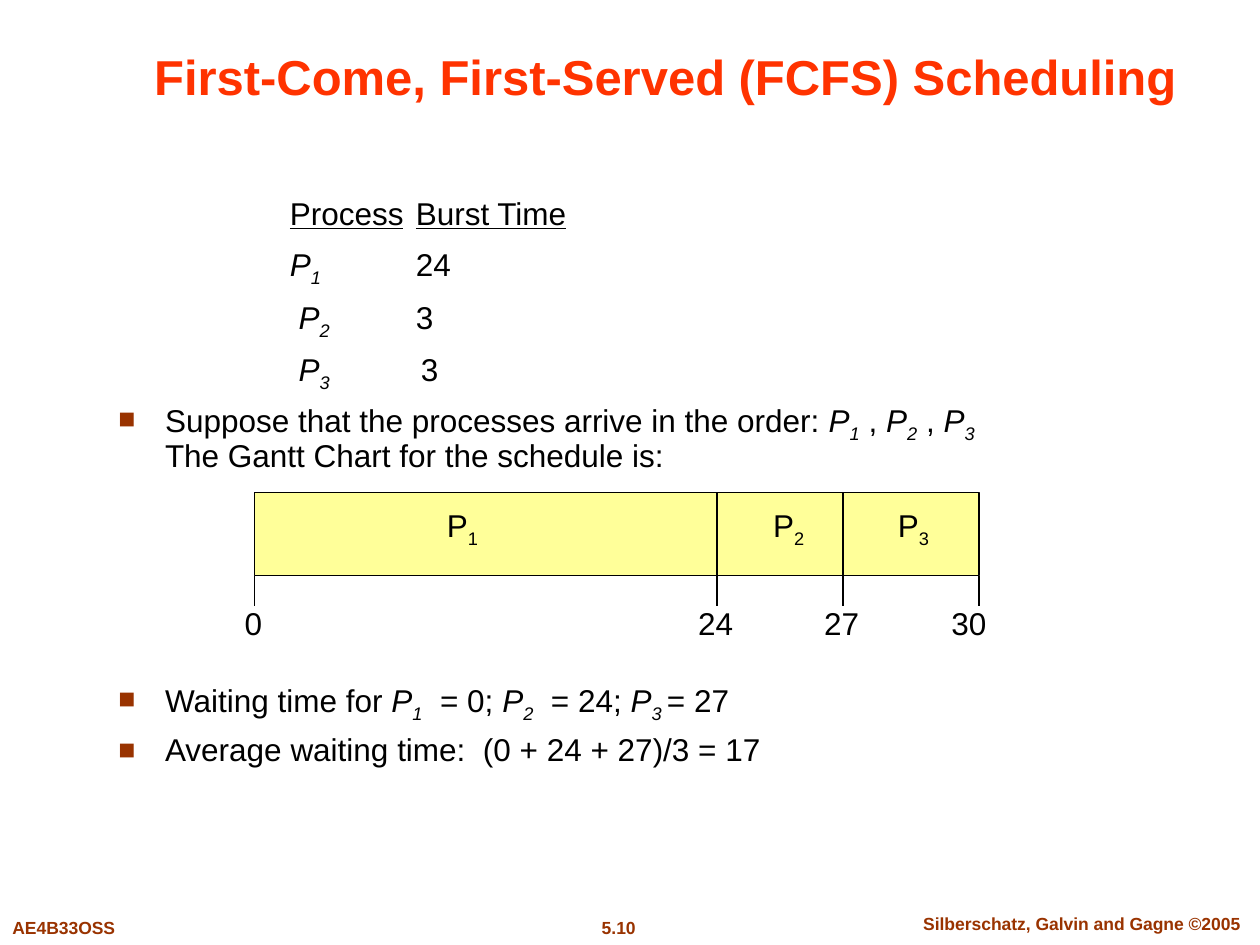
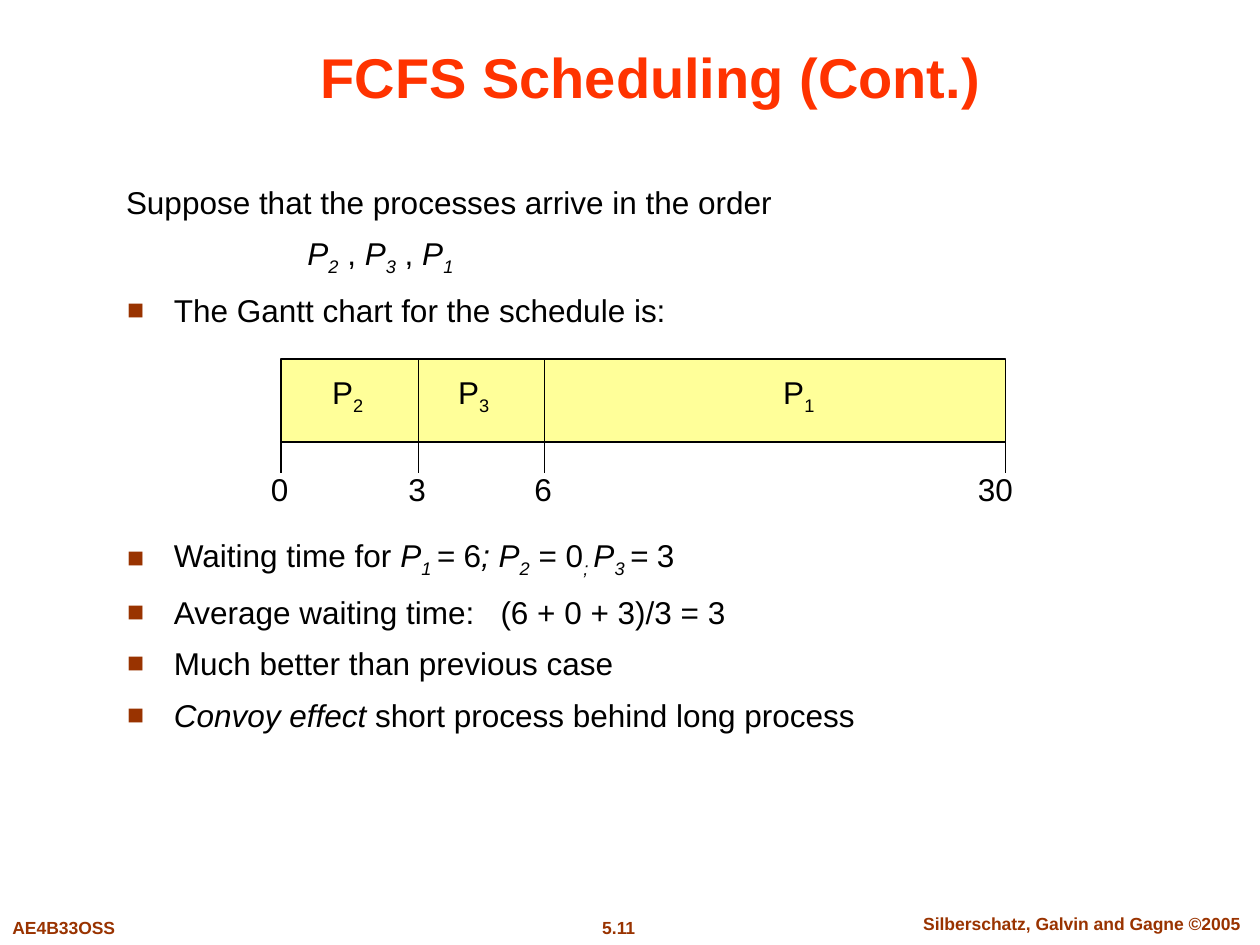
from itertools import accumulate, groupby

from lxml.etree import SubElement
from pptx import Presentation
from pptx.dml.color import RGBColor
from pptx.enum.shapes import MSO_CONNECTOR, MSO_SHAPE
from pptx.enum.text import MSO_ANCHOR, MSO_AUTO_SIZE, PP_ALIGN
from pptx.oxml.ns import qn
from pptx.util import Inches, Pt

FONT = "Arial"
RED = RGBColor(0xFF, 0x33, 0x00)
BROWN = RGBColor(0x99, 0x33, 0x00)
YELLOW = RGBColor(0xFF, 0xFF, 0x99)
BLACK = RGBColor(0x00, 0x00, 0x00)

BURSTS = {"1": 24, "2": 3, "3": 3}
BAR_H, TICK_H = 0.66, 0.24
BEFORE = 7.9
INDENTS = {"plain": (0, 0), "inset": (1.37, 0), "bullet": (0.38, -0.37)}

SLIDES = [
    {
        "title": "First-Come, First-Served (FCFS) Scheduling",
        "title_box": (0.72, 0.39, 9.12, 0.5),
        "title_size": 28,
        "body_box": (0.83, 1.52, 8.27, 4.5),
        "line_spacing": 0.9,
        "body": [
            ("inset", "~Process~\t~Burst Time~", BEFORE),
            ("inset", "*P_1_*\t\t24", BEFORE),
            ("inset", " *P_2_*\t\t3", BEFORE),
            ("inset", " *P_3_*\t\t_ _3", BEFORE),
            ("bullet", "Suppose that the processes arrive in the order: "
                       "*P_1_* , *P_2_* , *P_3_*\nThe Gantt Chart for the schedule is:", 7),
            ("bullet", "Waiting time for *P_1_*  = 0; *P_2_*  = 24; *P_3 _*= 27", 118.5),
            ("bullet", "Average waiting time:  (0 + 24 + 27)/3 = 17", BEFORE),
        ],
        "bar": (2.02, 3.91),
        "gantt": [("1", 3.67, 1.65), ("2", 1, 4.24), ("3", 1.08, 5.23)],
        "page": "5.10",
    },
    {
        "title": "FCFS Scheduling (Cont.)",
        "title_box": (0.75, 0.25, 8.83, 0.67),
        "title_size": 32,
        "body_box": (0.9, 1.4, 8.6, 4.9),
        "line_spacing": 1.0,
        "body": [
            ("plain", "Suppose that the processes arrive in the order", BEFORE),
            ("inset", " *P_2_* , *P_3_* , *P_1_*", BEFORE),
            ("bullet", "The Gantt chart for the schedule is:", BEFORE),
            ("bullet", "Waiting time for *P_1 _=* 6*; P_2_* = 0*_; _P_3 _= *3", 118.2),
            ("bullet", "Average waiting time:   (6 + 0 + 3)/3 = 3", BEFORE),
            ("bullet", "Much better than previous case", BEFORE),
            ("bullet", "*Convoy effect* short process behind long process", BEFORE),
        ],
        "bar": (2.23, 2.85),
        "gantt": [("2", 1.09, 0.53), ("3", 1, 1.53), ("1", 3.66, 4.11)],
        "page": "5.11",
    },
]

FOOTERS = [
    ("AE4B33OSS", (0, 7.23, 1.3, 0.27), PP_ALIGN.LEFT),
    ("{page}", (4.42, 7.23, 0.98, 0.27), PP_ALIGN.CENTER),
    ("Silberschatz, Galvin and Gagne ©2005", (7.1, 7.2, 2.97, 0.27), PP_ALIGN.CENTER),
]


def place(shape, box):
    shape.left, shape.top, shape.width, shape.height = map(Inches, box)


def style_run(r, size, color, bold=False):
    r.font.name, r.font.size, r.font.bold = FONT, Pt(size), bold
    r.font.color.rgb = color


def split_styles(line):
    """Yield (marks, text) pairs, where * is italic, _ subscript and ~ underline."""
    style, pairs = frozenset(), []
    for ch in line:
        if ch in "*_~":
            style ^= {ch}
        else:
            pairs.append((style, ch))
    for style, group in groupby(pairs, key=lambda pair: pair[0]):
        yield style, "".join(ch for _, ch in group)


def add_marked(p, text, size=18):
    for i, line in enumerate(text.split("\n")):
        if i:
            p.add_line_break()
        for style, part in split_styles(line):
            r = p.add_run()
            r.text = part
            style_run(r, size, BLACK)
            r.font.italic = "*" in style
            r.font.underline = "~" in style
            if "_" in style:
                r._r.get_or_add_rPr().set("baseline", "-25000")


def set_indent(p, kind):
    pPr = p._p.get_or_add_pPr()
    margin, hanging = INDENTS[kind]
    pPr.set("marL", str(Inches(margin)))
    pPr.set("indent", str(Inches(hanging)))
    if kind == "bullet":
        clr = SubElement(pPr, qn("a:buClr"))
        SubElement(clr, qn("a:srgbClr"), val=str(BROWN))
        SubElement(pPr, qn("a:buSzPct"), val="90000")
        SubElement(pPr, qn("a:buFont"), typeface=FONT)
        SubElement(pPr, qn("a:buChar"), char="■")
    else:
        SubElement(pPr, qn("a:buNone"))


def add_title(s, data):
    title = s.shapes.title
    place(title, data["title_box"])
    tf = title.text_frame
    tf.text = data["title"]
    tf.auto_size = MSO_AUTO_SIZE.NONE
    tf.vertical_anchor = MSO_ANCHOR.BOTTOM
    p = tf.paragraphs[0]
    p.alignment = PP_ALIGN.CENTER
    style_run(p.runs[0], data["title_size"], RED, True)


def add_body(s, data):
    body = s.placeholders[1]
    place(body, data["body_box"])
    tf = body.text_frame
    tf.auto_size = MSO_AUTO_SIZE.NONE
    for i, (kind, text, before) in enumerate(data["body"]):
        p = tf.add_paragraph() if i else tf.paragraphs[0]
        p.line_spacing = data["line_spacing"]
        p.space_before = Pt(before)
        set_indent(p, kind)
        add_marked(p, text)


def add_label(s, text, center, top, width, height):
    box = s.shapes.add_textbox(*map(Inches, (center - width / 2, top, width, height)))
    tf = box.text_frame
    tf.word_wrap = False
    tf.vertical_anchor = MSO_ANCHOR.MIDDLE
    p = tf.paragraphs[0]
    p.alignment = PP_ALIGN.CENTER
    add_marked(p, text)


def add_line(s, x, top, bottom):
    line = s.shapes.add_connector(MSO_CONNECTOR.STRAIGHT, *map(Inches, (x, top, x, bottom)))
    line.line.color.rgb = BLACK
    line.line.width = Pt(0.75)
    SubElement(line._element.spPr, qn("a:effectLst"))


def add_gantt(s, data):
    left, top = data["bar"]
    order, widths, _ = zip(*data["gantt"])
    edges = list(accumulate(widths, initial=left))
    times = list(accumulate((BURSTS[n] for n in order), initial=0))
    bottom = top + BAR_H

    bar = s.shapes.add_shape(MSO_SHAPE.RECTANGLE,
                             *map(Inches, (left, top, sum(widths), BAR_H)))
    bar.shadow.inherit = False
    bar.fill.solid()
    bar.fill.fore_color.rgb = YELLOW
    bar.line.color.rgb = BLACK
    bar.line.width = Pt(0.75)

    for name, _, offset in data["gantt"]:
        add_label(s, f"P_{name}_", left + offset, top + 0.06, 0.45, 0.44)
    for x in edges[1:-1]:
        add_line(s, x, top, bottom)
    for x, time in zip(edges, times):
        add_line(s, x, bottom, bottom + TICK_H)
        shift = 0.08 if x == edges[-1] else 0.01
        add_label(s, str(time), x - shift, top + 0.83, 0.48 if time > 9 else 0.34, 0.4)


def add_footers(s, page):
    for text, box, align in FOOTERS:
        tf = s.shapes.add_textbox(*map(Inches, box)).text_frame
        tf.word_wrap = True
        tf.text = text.format(page=page)
        p = tf.paragraphs[0]
        p.alignment = align
        style_run(p.runs[0], 10, BROWN, True)


def main():
    prs = Presentation()
    prs.slide_width, prs.slide_height = Inches(10), Inches(7.5)
    for data in SLIDES:
        s = prs.slides.add_slide(prs.slide_layouts[1])
        add_footers(s, data["page"])
        add_title(s, data)
        add_body(s, data)
        add_gantt(s, data)
    prs.save("out.pptx")


if __name__ == "__main__":
    main()
